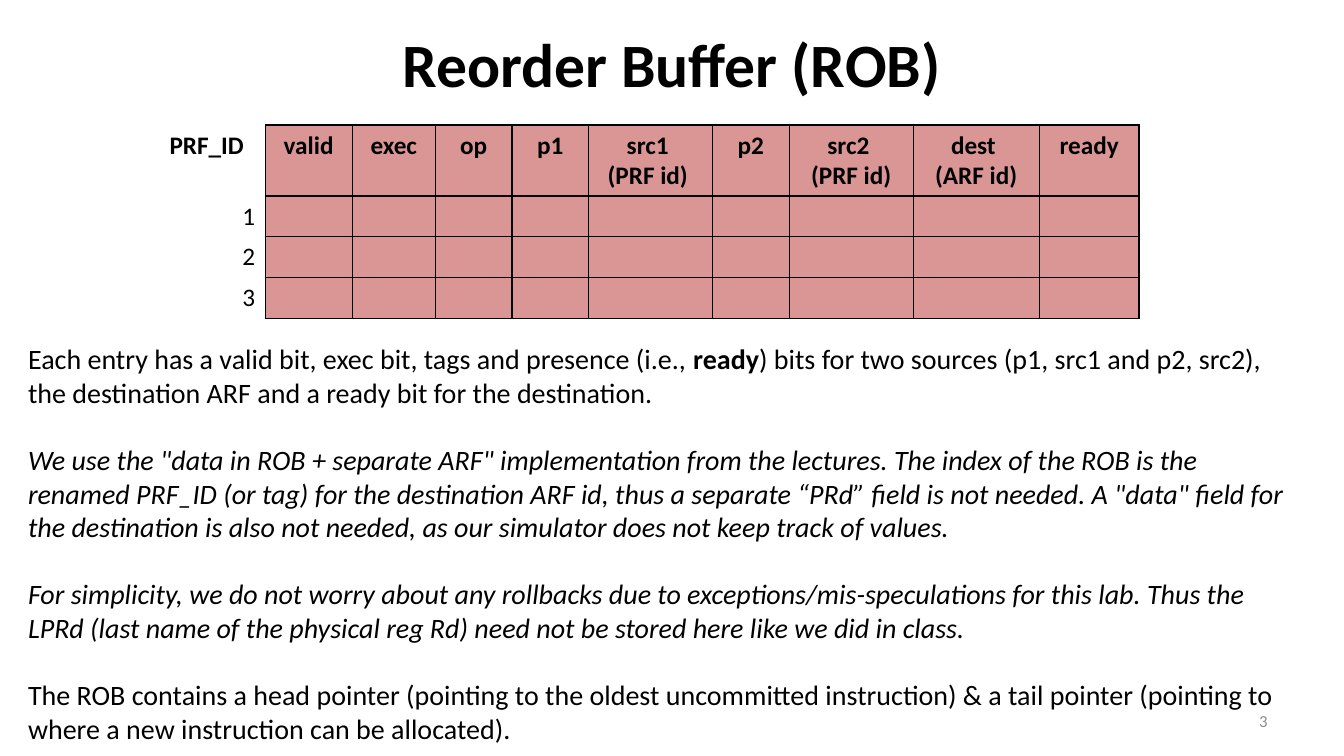
from dataclasses import dataclass
from itertools import product

from lxml.etree import SubElement
from pptx import Presentation
from pptx.dml.color import RGBColor
from pptx.enum.text import MSO_ANCHOR, PP_ALIGN
from pptx.oxml.ns import qn
from pptx.slide import Slide
from pptx.table import _Cell
from pptx.text.text import Font, TextFrame
from pptx.util import Inches, Length, Pt

SLIDE_WIDTH = Inches(13.33)
SLIDE_HEIGHT = Inches(7.5)


@dataclass(frozen=True)
class Theme:
    font: str = "Calibri"
    ink: str = "000000"
    entry_fill: str = "D99694"
    number_ink: str = "8C8C8C"
    title_size: int = 44
    body_size: int = 20
    table_size: int = 18
    number_size: int = 12
    border_width: int = 1


@dataclass(frozen=True)
class Area:
    left: float
    top: float
    width: float
    height: float

    def lengths(self) -> tuple[Length, Length, Length, Length]:
        return across(self.left), down(self.top), across(self.width), down(self.height)


@dataclass(frozen=True)
class Field:
    heading: str
    width: float


@dataclass(frozen=True)
class Passage:
    spans: tuple[str, ...]
    italic: bool = False


THEME = Theme()
TITLE_AREA = Area(5, 0, 90, 16.67)
TABLE_AREA = Area(11.03, 16.53, 73.7, 25.6)
BODY_AREA = Area(1.35, 44.53, 96.1, 59.73)
NUMBER_AREA = Area(71.72, 92.67, 23.33, 5.33)
HEADER_HEIGHT = 9.4
ENTRY_HEIGHT = 5.4
ENTRY_COUNT = 3

FIELDS = (
    Field("PRF_ID", 8.7),
    Field("valid", 6.47),
    Field("exec", 6.2),
    Field("op", 5.7),
    Field("p1", 5.7),
    Field("src1 \n(PRF id) ", 9.23),
    Field("p2", 5.7),
    Field("src2 \n(PRF id)", 9.23),
    Field("dest \n(ARF id)", 9.38),
    Field("ready", 7.43),
)

PASSAGES = (
    Passage((
        "Each entry has a valid bit, exec bit, tags and presence (i.e., ",
        "ready",
        ") bits for two sources (p1, src1 and p2, src2), the destination ARF "
        "and a ready bit for the destination.",
    )),
    Passage((
        'We use the "data in ROB + separate ARF" implementation from the lectures. '
        "The index of the ROB is the renamed PRF_ID (or tag) for the destination ARF id, "
        'thus a separate “PRd” field is not needed. A "data" field for the destination '
        "is also not needed, as our simulator does not keep track of values.",
    ), italic=True),
    Passage((
        "For simplicity, we do not worry about any rollbacks due to "
        "exceptions/mis-speculations for this lab. Thus the LPRd (last name of the "
        "physical reg Rd) need not be stored here like we did in class.",
    ), italic=True),
    Passage((
        "The ROB contains a head pointer (pointing to the oldest uncommitted instruction) "
        "& a tail pointer (pointing to where a new instruction can be allocated).",
    )),
)


def across(percent: float) -> Length:
    return Length(round(SLIDE_WIDTH * percent / 100))


def down(percent: float) -> Length:
    return Length(round(SLIDE_HEIGHT * percent / 100))


def set_font(font: Font, size: int, color: str = THEME.ink, bold: bool = False) -> None:
    font.name = THEME.font
    font.size = Pt(size)
    font.bold = bold
    font.color.rgb = RGBColor.from_string(color)


def add_text_box(page: Slide, area: Area) -> TextFrame:
    frame = page.shapes.add_textbox(*area.lengths()).text_frame
    frame.word_wrap = True
    return frame


def add_title(page: Slide) -> None:
    title = page.shapes.title
    title.left, title.top, title.width, title.height = TITLE_AREA.lengths()
    title.text_frame.text = "Reorder Buffer (ROB)"
    title.text_frame.vertical_anchor = MSO_ANCHOR.MIDDLE
    para = title.text_frame.paragraphs[0]
    para.alignment = PP_ALIGN.CENTER
    set_font(para.font, THEME.title_size, bold=True)


def set_borders(cell: _Cell, drawn_sides: str) -> None:
    properties = cell._tc.get_or_add_tcPr()
    for side in "LRTB":
        line = SubElement(properties, qn(f"a:ln{side}"), w=str(Pt(THEME.border_width)))
        if side in drawn_sides:
            fill = SubElement(line, qn("a:solidFill"))
            SubElement(fill, qn("a:srgbClr"), val=THEME.ink)
        else:
            SubElement(line, qn("a:noFill"))


def add_buffer_table(page: Slide) -> None:
    row_count = ENTRY_COUNT + 1
    table = page.shapes.add_table(row_count, len(FIELDS), *TABLE_AREA.lengths()).table
    table.first_row = False
    table.horz_banding = False
    for column, field in zip(table.columns, FIELDS):
        column.width = across(field.width)
    for index, row in enumerate(table.rows):
        row.height = down(ENTRY_HEIGHT if index else HEADER_HEIGHT)
    for row_index, column_index in product(range(row_count), range(len(FIELDS))):
        cell = table.cell(row_index, column_index)
        is_header = row_index == 0
        is_label = column_index == 0
        set_borders(cell, "R" if is_label else "LRTB")
        if is_label:
            cell.fill.background()
        else:
            cell.fill.solid()
            cell.fill.fore_color.rgb = RGBColor.from_string(THEME.entry_fill)
        if is_header:
            cell.text = FIELDS[column_index].heading
        elif is_label:
            cell.text = str(row_index)
        for para in cell.text_frame.paragraphs:
            para.alignment = PP_ALIGN.CENTER if is_header else PP_ALIGN.RIGHT
            set_font(para.font, THEME.table_size, bold=is_header)


def add_body(page: Slide) -> None:
    frame = add_text_box(page, BODY_AREA)
    for index, passage in enumerate(PASSAGES):
        para = frame.add_paragraph() if index else frame.paragraphs[0]
        para.space_before = Pt(THEME.body_size * 1.2 if index else 0)
        set_font(para.font, THEME.body_size)
        para.font.italic = passage.italic
        for position, text in enumerate(passage.spans):
            span = para.add_run()
            span.text = text
            if position % 2:
                span.font.bold = True


def add_page_number(page: Slide) -> None:
    frame = add_text_box(page, NUMBER_AREA)
    frame.vertical_anchor = MSO_ANCHOR.MIDDLE
    frame.text = "3"
    para = frame.paragraphs[0]
    para.alignment = PP_ALIGN.RIGHT
    set_font(para.font, THEME.number_size, THEME.number_ink)


def main() -> None:
    deck = Presentation()
    deck.slide_width, deck.slide_height = SLIDE_WIDTH, SLIDE_HEIGHT
    page = deck.slides.add_slide(deck.slide_layouts[5])
    add_body(page)
    add_buffer_table(page)
    add_title(page)
    add_page_number(page)
    deck.save("out.pptx")


if __name__ == "__main__":
    main()
